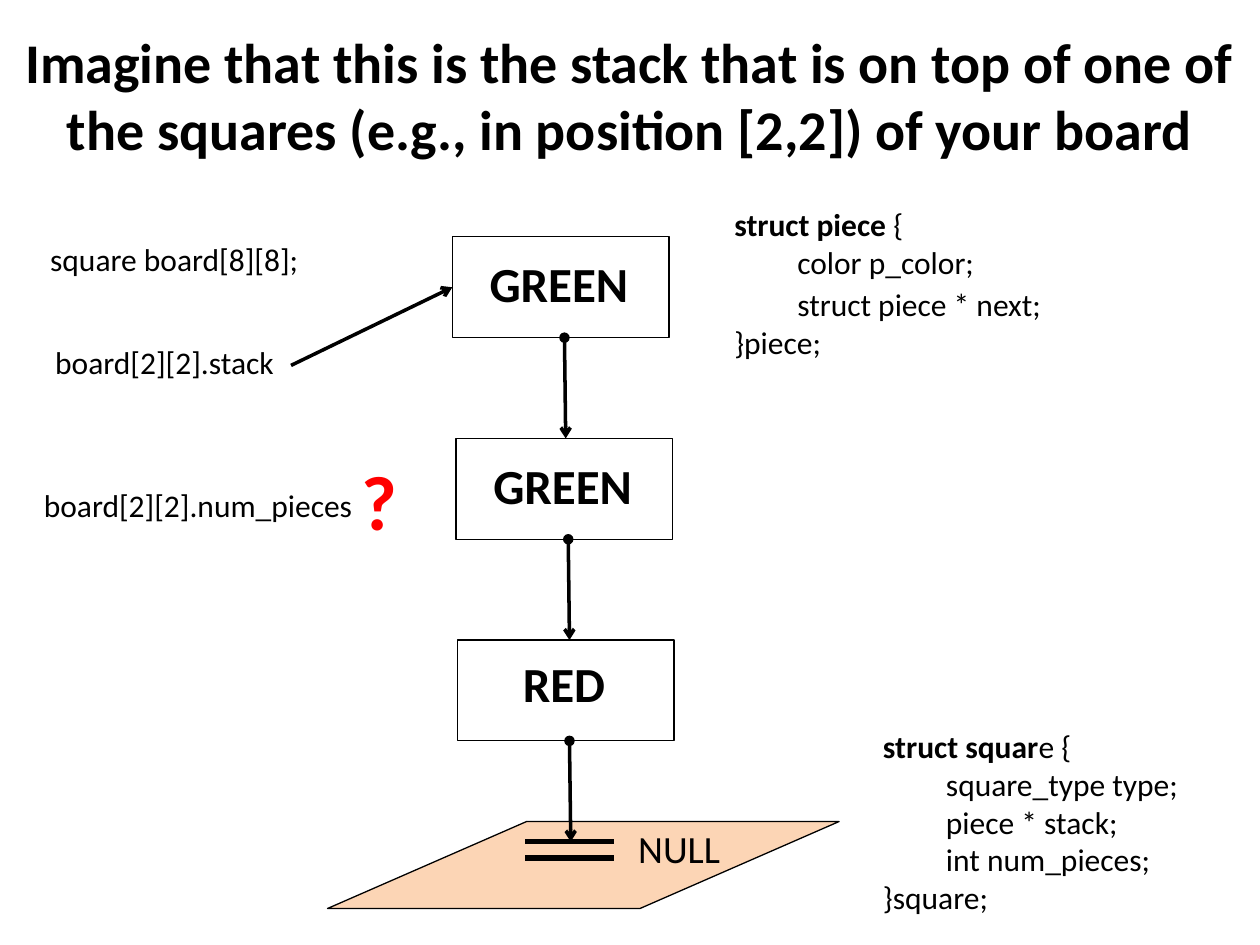
"""Builds a slide showing a board square's stack of pieces as a linked list."""
from lxml import etree
from pptx import Presentation
from pptx import util as u
from pptx.dml.color import RGBColor
from pptx.enum import shapes, text
from pptx.oxml.ns import qn

INK, WHITE, SAND, RED = "000000", "FFFFFF", "FCD5B5", "FF0000"
MID, LEFT = text.PP_ALIGN.CENTER, text.PP_ALIGN.LEFT

HEAD = ("Imagine that this is the stack that is on top of one of "
        "the squares (e.g., in position [2,2]) of your board")
NODES = [("GREEN", 3.59, 0.08), ("GREEN", 3.62, 0.09), ("RED", 3.63, 0.06)]
NODE_W, NODE_H, TOP, STEP = 1.72, 0.8, 1.88, 1.6
NOTES = [
    ("square board[8][8];", 0.3, 1.86),
    ("board[2][2].stack", 0.34, 2.67),
    ("board[2][2].num_pieces", 0.25, 3.81),
]
CODE = [
    ((5.73, 1.58, 5, 1.65), [
        ([("struct piece ", True), ("{", False)], 0),
        ([("\tcolor p_color;", False)], 0),
        ([("\tstruct piece * next;", False)], 2.4),
        ([("}piece;", False)], 0)]),
    ((6.91, 5.72, 5, 1.62), [
        ([("struct squar", True), ("e {", False)], 0),
        ([("\tsquare_type type;", False)], 0),
        ([("\tpiece * stack;", False)], 0),
        ([("\tint num_pieces;", False)], 0),
        ([("}square;", False)], 0)]),
]


def rgb(code):
    return RGBColor.from_string(code)


def place(box):
    return [u.Inches(v) for v in box]


def add_run(para, words, size, bold=False, color=INK):
    run = para.add_run()
    run.text = words
    run.font.name = "Calibri"
    run.font.size = u.Pt(size)
    run.font.bold = bold
    run.font.color.rgb = rgb(color)


def add_box(slide, box):
    frame = slide.shapes.add_textbox(*place(box)).text_frame
    frame.word_wrap = True
    return frame


def add_label(slide, words, box, size, bold=False, color=INK, align=LEFT):
    para = add_box(slide, box).paragraphs[0]
    para.alignment = align
    add_run(para, words, size, bold, color)


def add_code(slide, box, lines):
    frame = add_box(slide, box)
    for i, (runs, gap) in enumerate(lines):
        para = frame.add_paragraph() if i else frame.paragraphs[0]
        if gap:
            para.space_before = u.Pt(gap)
        tabs = etree.SubElement(para._p.get_or_add_pPr(), qn("a:tabLst"))
        etree.SubElement(tabs, qn("a:tab"), pos=str(u.Inches(0.5)), algn="l")
        for words, bold in runs:
            add_run(para, words, 18, bold)


def add_shape(slide, kind, box, fill):
    shape = slide.shapes.add_shape(kind, *place(box))
    shape.shadow.inherit = False
    shape.fill.solid()
    shape.fill.fore_color.rgb = rgb(fill)
    shape.line.color.rgb = rgb(INK)
    shape.line.width = u.Pt(0.75)
    return shape


def add_line(slide, ends, width, head=None, tail=None):
    link = slide.shapes.add_connector(shapes.MSO_CONNECTOR.STRAIGHT, *place(ends))
    link.line.color.rgb = rgb(INK)
    link.line.width = u.Pt(width)
    for tag, kind in (("a:headEnd", head), ("a:tailEnd", tail)):
        if kind:
            etree.SubElement(link.line._get_or_add_ln(), qn(tag), type=kind)
    etree.SubElement(link._element.spPr, qn("a:effectLst"))
    return link


def add_title(slide):
    title = slide.shapes.title
    title.left, title.top, title.width, title.height = place((0, 0.24, 10, 1.02))
    frame = title.text_frame
    frame.word_wrap = True
    frame.auto_size = text.MSO_AUTO_SIZE.NONE
    frame.vertical_anchor = text.MSO_ANCHOR.MIDDLE
    frame.paragraphs[0].alignment = MID
    add_run(frame.paragraphs[0], HEAD, 32, True)


def add_stack(slide):
    kinds = shapes.MSO_SHAPE
    base = add_shape(slide, kinds.PARALLELOGRAM, (2.6, 6.52, 4.06, 0.69), SAND)
    base.adjustments[0] = 2.289
    add_label(slide, "NULL", (4.53, 6.5, 1.72, 0.47), 22, align=MID)
    for y in (6.68, 6.81):
        add_line(slide, (4.87, y, 4.17, y), 3)
    rects = []
    for i, (name, x, drop) in enumerate(NODES):
        y = TOP + i * STEP
        rects.append(add_shape(slide, kinds.RECTANGLE, (x, y, NODE_W, NODE_H), WHITE))
        add_label(slide, name, (x, y + drop, 1.69, 0.57), 28, True, align=MID)
    for i, (name, x, drop) in enumerate(NODES):
        y = TOP + i * STEP + NODE_H
        add_line(slide, (x + 0.89, y, x + 0.9, y + STEP - NODE_H), 2, "oval", "arrow")
    link = add_line(slide, (2.31, 2.9, 3.59, 2.28), 2, tail="arrow")
    link.end_connect(rects[0], 1)


def main():
    deck = Presentation()
    deck.slide_width, deck.slide_height = place((10, 7.5))
    slide = deck.slides.add_slide(deck.slide_layouts[5])
    add_title(slide)
    add_stack(slide)
    for box, lines in CODE:
        add_code(slide, box, lines)
    for words, x, y in NOTES:
        add_label(slide, words, (x, y, 5, 0.4), 18)
    add_label(slide, "?", (2.77, 3.55, 0.85, 0.84), 44, True, RED)
    deck.save("out.pptx")


if __name__ == "__main__":
    main()
